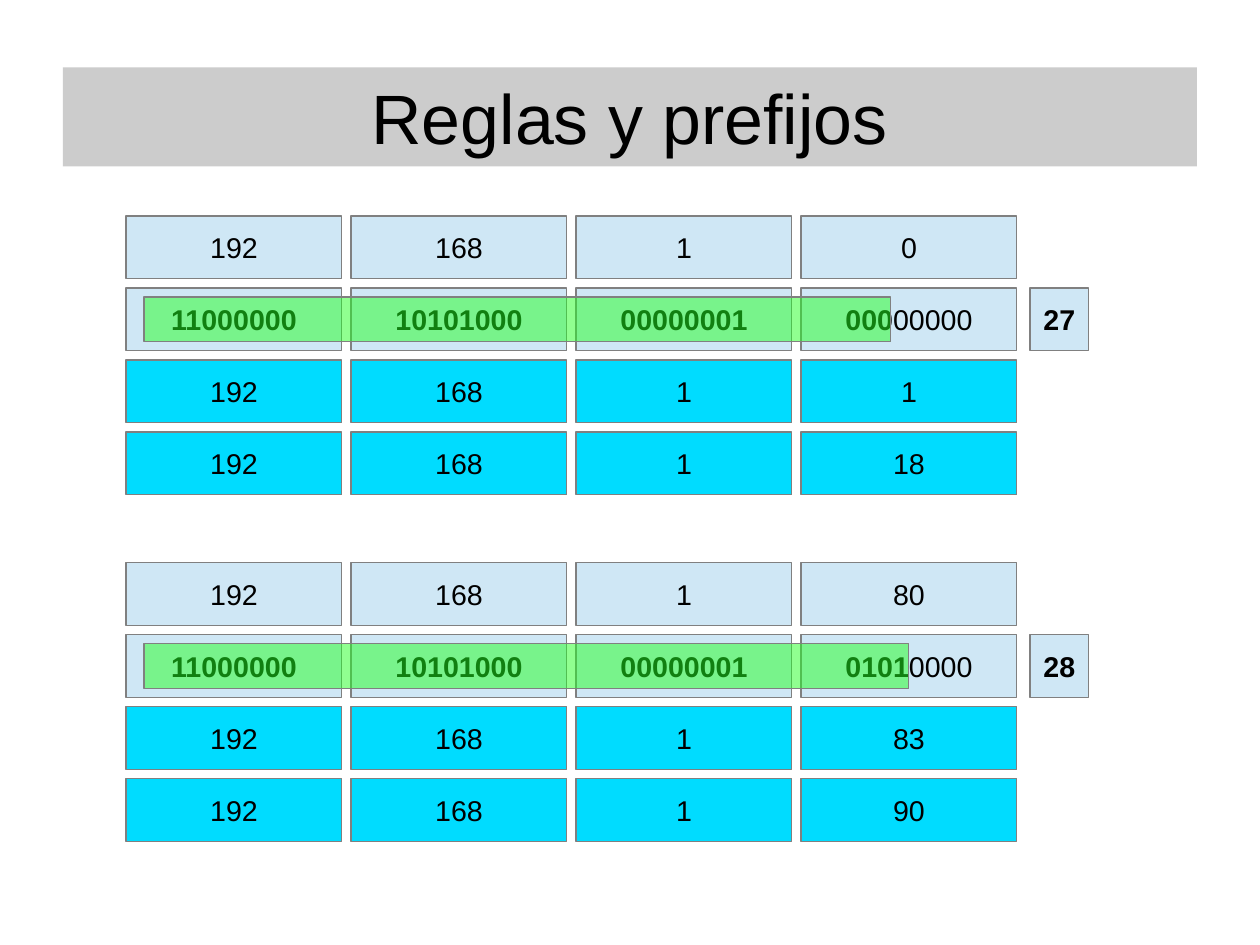
from lxml import etree
from pptx import Presentation
from pptx import util as u
from pptx.dml.color import RGBColor
from pptx.enum import shapes, text
from pptx.oxml.ns import qn

TITLE = "Reglas y prefijos"
RULES = [
    {"top": 4.8, "network": (192, 168, 1, 0), "prefix": 27, "mask_width": 16.6,
     "hosts": [(192, 168, 1, 1), (192, 168, 1, 18)]},
    {"top": 12.5, "network": (192, 168, 1, 80), "prefix": 28, "mask_width": 17,
     "hosts": [(192, 168, 1, 83), (192, 168, 1, 90)]},
]
WIDTH, HEIGHT = 28, 21
LEFT, COLUMN, ROW = WIDTH * 0.1, 5, 1.6
CELL_WIDTH, CELL_HEIGHT = 4.8, 1.4
MASK_INSET_X, MASK_INSET_Y = 0.4, 0.2
PREFIX_LEFT, PREFIX_WIDTH = 22.89, 1.3
TITLE_LEFT, TITLE_WIDTH = WIDTH * 0.05, WIDTH * 0.9
BAND, PALE, CYAN, GREEN = "CCCCCC", "CFE7F5", "00DCFF", "23FF23"
BORDER, INK = "808080", "000000"

deck = Presentation()
deck.slide_width, deck.slide_height = u.Cm(WIDTH), u.Cm(HEIGHT)
page = deck.slides.add_slide(deck.slide_layouts[6])


def color(value):
    return RGBColor.from_string(value)


def write(box, spans, size=18):
    frame = box.text_frame
    frame.vertical_anchor = text.MSO_ANCHOR.MIDDLE
    para = frame.paragraphs[0]
    para.alignment = text.PP_ALIGN.CENTER
    for words, bold in spans:
        span = para.add_run()
        span.text = words
        span.font.name = "Arial"
        span.font.size = u.Pt(size)
        span.font.bold = bold
        span.font.color.rgb = color(INK)


def add_box(left, top, width, height, fill, spans=(), border=BORDER):
    box = page.shapes.add_shape(shapes.MSO_SHAPE.RECTANGLE,
                                *map(u.Cm, (left, top, width, height)))
    box.shadow.inherit = False
    box.fill.solid()
    box.fill.fore_color.rgb = color(fill)
    if border:
        box.line.color.rgb = color(border)
        box.line.width = u.Pt(0)
    else:
        box.line.fill.background()
    if spans:
        box.text_frame.word_wrap = False
        write(box, spans)
    return box


def add_title():
    add_box(TITLE_LEFT, 1.5, TITLE_WIDTH, 2.2, BAND, border=None)
    box = page.shapes.add_textbox(*map(u.Cm, (TITLE_LEFT, 0.84, TITLE_WIDTH, 3.5)))
    frame = box.text_frame
    frame.word_wrap = True
    frame.margin_left = frame.margin_right = 0
    frame.margin_top = frame.margin_bottom = 0
    write(box, [(TITLE, False)], 44)


def decimal_spans(address):
    return [[(str(octet), False)] for octet in address]


def binary_spans(address, prefix):
    row = []
    for index, octet in enumerate(address):
        bits = format(octet, "08b")
        fixed = min(8, prefix - 8 * index)
        parts = [(bits[:fixed], True), (bits[fixed:], False)]
        row.append([part for part in parts if part[0]])
    return row


def add_rule(rule):
    network, prefix, top = rule["network"], rule["prefix"], rule["top"]
    rows = [(PALE, decimal_spans(network)), (PALE, binary_spans(network, prefix))]
    rows += [(CYAN, decimal_spans(host)) for host in rule["hosts"]]
    for row, (fill, octets) in enumerate(rows):
        for column, spans in enumerate(octets):
            add_box(LEFT + column * COLUMN, top + row * ROW,
                    CELL_WIDTH, CELL_HEIGHT, fill, spans)
    binary_top = top + ROW
    add_box(PREFIX_LEFT, binary_top, PREFIX_WIDTH, CELL_HEIGHT, PALE,
            [(str(prefix), True)])
    mask = add_box(LEFT + MASK_INSET_X, binary_top + MASK_INSET_Y,
                   rule["mask_width"], CELL_HEIGHT - 2 * MASK_INSET_Y, GREEN)
    tint = mask._element.spPr.find(qn("a:solidFill")).find(qn("a:srgbClr"))
    etree.SubElement(tint, qn("a:alpha")).set("val", "50000")


add_title()
for rule in RULES:
    add_rule(rule)

deck.save("out.pptx")
